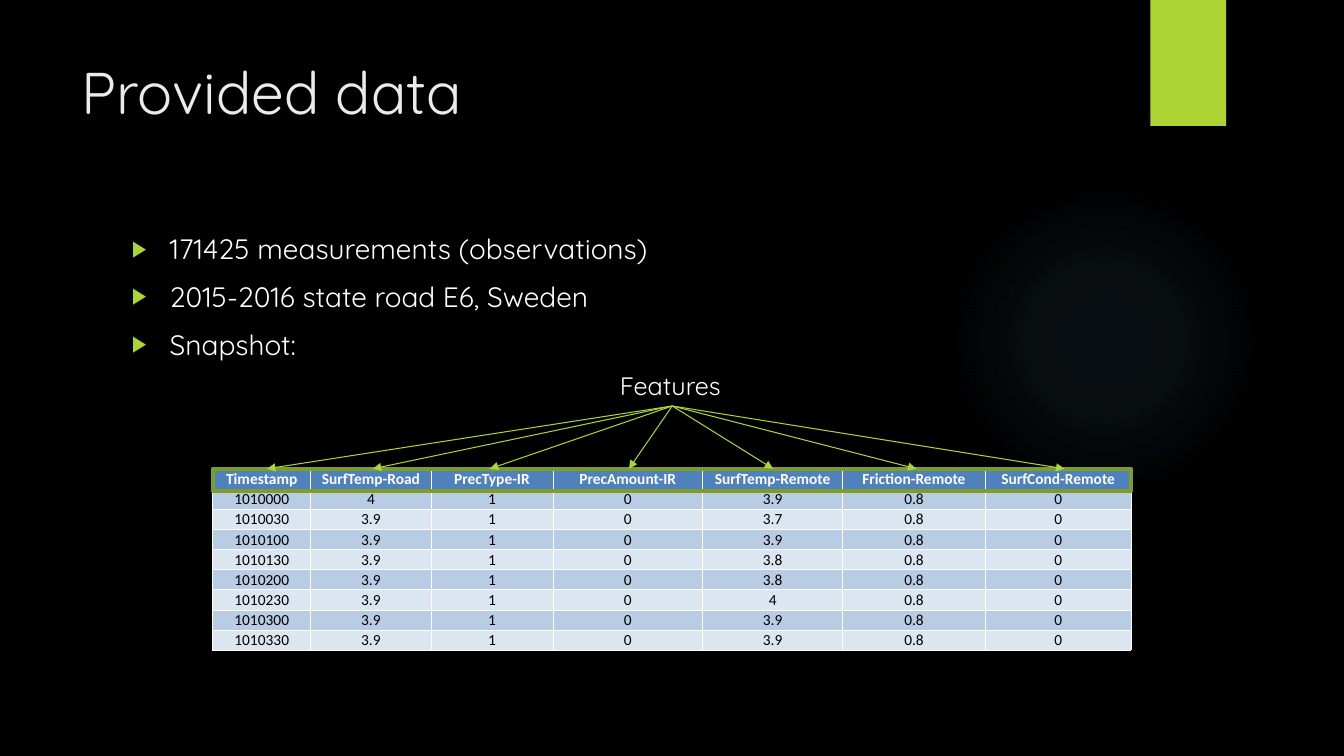
from dataclasses import dataclass

from lxml.etree import SubElement
from pptx import Presentation
from pptx.dml.color import RGBColor as Color
from pptx.enum.shapes import MSO_CONNECTOR as Connector, MSO_SHAPE as Shape
from pptx.enum.text import MSO_ANCHOR as Anchor, MSO_AUTO_SIZE as AutoSize, PP_ALIGN as Align
from pptx.oxml.ns import qn
from pptx.util import Pt

TITLE = "Provided data"
BULLETS = ["171425 measurements (observations)", "2015-2016 state road E6, Sweden", "Snapshot:"]
FEATURES_LABEL = "Features"
HEADER = ("Timestamp", "SurfTemp-Road", "PrecType-IR", "PrecAmount-IR",
          "SurfTemp-Remote", "Friction-Remote", "SurfCond-Remote")
MEASUREMENTS = [
    ("1010000", "4", "1", "0", "3.9", "0.8", "0"),
    ("1010030", "3.9", "1", "0", "3.7", "0.8", "0"),
    ("1010100", "3.9", "1", "0", "3.9", "0.8", "0"),
    ("1010130", "3.9", "1", "0", "3.8", "0.8", "0"),
    ("1010200", "3.9", "1", "0", "3.8", "0.8", "0"),
    ("1010230", "3.9", "1", "0", "4", "0.8", "0"),
    ("1010300", "3.9", "1", "0", "3.9", "0.8", "0"),
    ("1010330", "3.9", "1", "0", "3.9", "0.8", "0"),
]
COLUMN_WIDTHS = (70, 86, 87, 107, 100, 102, 104)
ARROW_TIPS = (190.8, 266.4, 350, 449.3, 552.2, 654.5, 760.3)
TABLE_LEFT, TABLE_TOP, ROW_HEIGHT = 152, 334.8, 14.4
GLOW_STOPS = ((0, 7), (36, 6), (69, 0))  # position and opacity in percent


@dataclass(frozen=True)
class Theme:
    background: str = "000000"
    accent: str = "ACD433"
    frame: str = "7F9D26"
    glow: str = "7AC4F0"
    title: str = "EBEBEB"
    light: str = "FFFFFF"
    dark: str = "000000"
    header_fill: str = "4F81BD"
    bands: tuple = ("B8CCE4", "DCE6F1")
    font: str = "Quicksand"
    table_font: str = "Calibri"
    title_size: int = 42
    body_size: int = 20
    label_size: int = 18
    table_size: int = 11


THEME = Theme()


def rgb(value):
    return Color.from_string(value)


def child(parent, tag, **attributes):
    return SubElement(parent, qn(tag), attributes)


def place(shape, left, top, width, height):
    shape.left, shape.top, shape.width, shape.height = map(Pt, (left, top, width, height))


def add_run(paragraph, text, size, color, font=THEME.font, bold=False):
    run = paragraph.add_run()
    run.text = text
    run.font.name, run.font.size, run.font.bold = font, Pt(size), bold
    run.font.color.rgb = rgb(color)


def add_plain_shape(slide, kind, left, top, width, height):
    shape = slide.shapes.add_shape(kind, *map(Pt, (left, top, width, height)))
    shape.shadow.inherit = False
    shape.line.fill.background()
    return shape


def add_glow(slide):
    glow = add_plain_shape(slide, Shape.OVAL, 677.5, 131.8, 221.8, 221.8)
    glow.fill.gradient()
    gradient = glow.element.spPr.find(qn("a:gradFill"))
    for part in list(gradient):
        gradient.remove(part)
    stops = child(gradient, "a:gsLst")
    for position, opacity in GLOW_STOPS:
        stop = child(stops, "a:gs", pos=str(position * 1000))
        color = child(stop, "a:srgbClr", val=THEME.glow)
        child(color, "a:alpha", val=str(opacity * 1000))
    circle = child(gradient, "a:path", path="circle")
    child(circle, "a:fillToRect", l="50000", t="50000", r="50000", b="50000")


def add_accent_bar(slide):
    bar = add_plain_shape(slide, Shape.RECTANGLE, 821.8, 0, 54, 90)
    bar.fill.solid()
    bar.fill.fore_color.rgb = rgb(THEME.accent)


def fill_title(slide):
    title = slide.shapes.title
    place(title, 51, 36, 741, 110)
    frame = title.text_frame
    frame.vertical_anchor, frame.auto_size = Anchor.TOP, AutoSize.NONE
    frame.paragraphs[0].alignment = Align.LEFT
    add_run(frame.paragraphs[0], TITLE, THEME.title_size, THEME.title)


def fill_body(slide):
    body = slide.placeholders[1]
    place(body, 87, 162, 704, 330.5)
    frame = body.text_frame
    frame.auto_size = AutoSize.NONE
    for index, text in enumerate(BULLETS):
        paragraph = frame.add_paragraph() if index else frame.paragraphs[0]
        properties = paragraph._p.get_or_add_pPr()
        properties.set("marL", str(Pt(27)))
        properties.set("indent", str(-Pt(27)))
        child(child(properties, "a:buClr"), "a:srgbClr", val=THEME.accent)
        child(properties, "a:buSzPct", val="80000")
        child(properties, "a:buChar", char="▶")
        paragraph.space_before = Pt(10 if index else 0)
        add_run(paragraph, text, THEME.body_size, THEME.light)


def format_cell(cell, text, fill, color, bold):
    cell.margin_left = cell.margin_right = cell.margin_top = Pt(0.7)
    cell.margin_bottom = Pt(0)
    cell.vertical_anchor = Anchor.BOTTOM
    properties = cell._tc.get_or_add_tcPr()
    for side in ("a:lnL", "a:lnR", "a:lnT", "a:lnB"):
        border = child(properties, side, w=str(Pt(0.5)))
        child(child(border, "a:solidFill"), "a:srgbClr", val=THEME.light)
    cell.fill.solid()
    cell.fill.fore_color.rgb = rgb(fill)
    paragraph = cell.text_frame.paragraphs[0]
    paragraph.alignment = Align.CENTER
    add_run(paragraph, text, THEME.table_size, color, THEME.table_font, bold)


def add_snapshot_table(slide):
    rows = [HEADER, *MEASUREMENTS]
    width = sum(COLUMN_WIDTHS)
    table = slide.shapes.add_table(
        len(rows), len(HEADER), Pt(TABLE_LEFT), Pt(TABLE_TOP),
        Pt(width), Pt(ROW_HEIGHT * len(rows))).table
    table.first_row = table.horz_banding = False
    for column, column_width in zip(table.columns, COLUMN_WIDTHS):
        column.width = Pt(column_width)
    for row_index, values in enumerate(rows):
        table.rows[row_index].height = Pt(ROW_HEIGHT)
        header = row_index == 0
        fill = THEME.header_fill if header else THEME.bands[(row_index - 1) % 2]
        color = THEME.light if header else THEME.dark
        for column_index, text in enumerate(values):
            format_cell(table.cell(row_index, column_index), text, fill, color, header)

    frame = add_plain_shape(slide, Shape.RECTANGLE, TABLE_LEFT, TABLE_TOP, width, 16)
    frame.fill.background()
    frame.line.color.rgb = rgb(THEME.frame)
    frame.line.width = Pt(3)


def add_feature_arrows(slide):
    label = slide.shapes.add_textbox(Pt(435.6), Pt(260.9), Pt(89.2), Pt(29.1))
    label.text_frame.word_wrap = False
    label.text_frame.auto_size = AutoSize.SHAPE_TO_FIT_TEXT
    add_run(label.text_frame.paragraphs[0], FEATURES_LABEL, THEME.label_size, THEME.light)
    for tip in ARROW_TIPS:
        arrow = slide.shapes.add_connector(
            Connector.STRAIGHT, Pt(480.2), Pt(290), Pt(tip), Pt(TABLE_TOP))
        arrow.begin_connect(label, 2)
        arrow.line.color.rgb = rgb(THEME.accent)
        arrow.line.width = Pt(0.75)
        child(arrow.line._get_or_add_ln(), "a:tailEnd", type="triangle")
        child(arrow._element.spPr, "a:effectLst")


def main():
    presentation = Presentation()
    presentation.slide_width, presentation.slide_height = Pt(960), Pt(540)
    slide = presentation.slides.add_slide(presentation.slide_layouts[1])
    slide.background.fill.solid()
    slide.background.fill.fore_color.rgb = rgb(THEME.background)
    add_glow(slide)
    add_accent_bar(slide)
    fill_title(slide)
    fill_body(slide)
    add_snapshot_table(slide)
    add_feature_arrows(slide)
    presentation.save("out.pptx")


if __name__ == "__main__":
    main()
